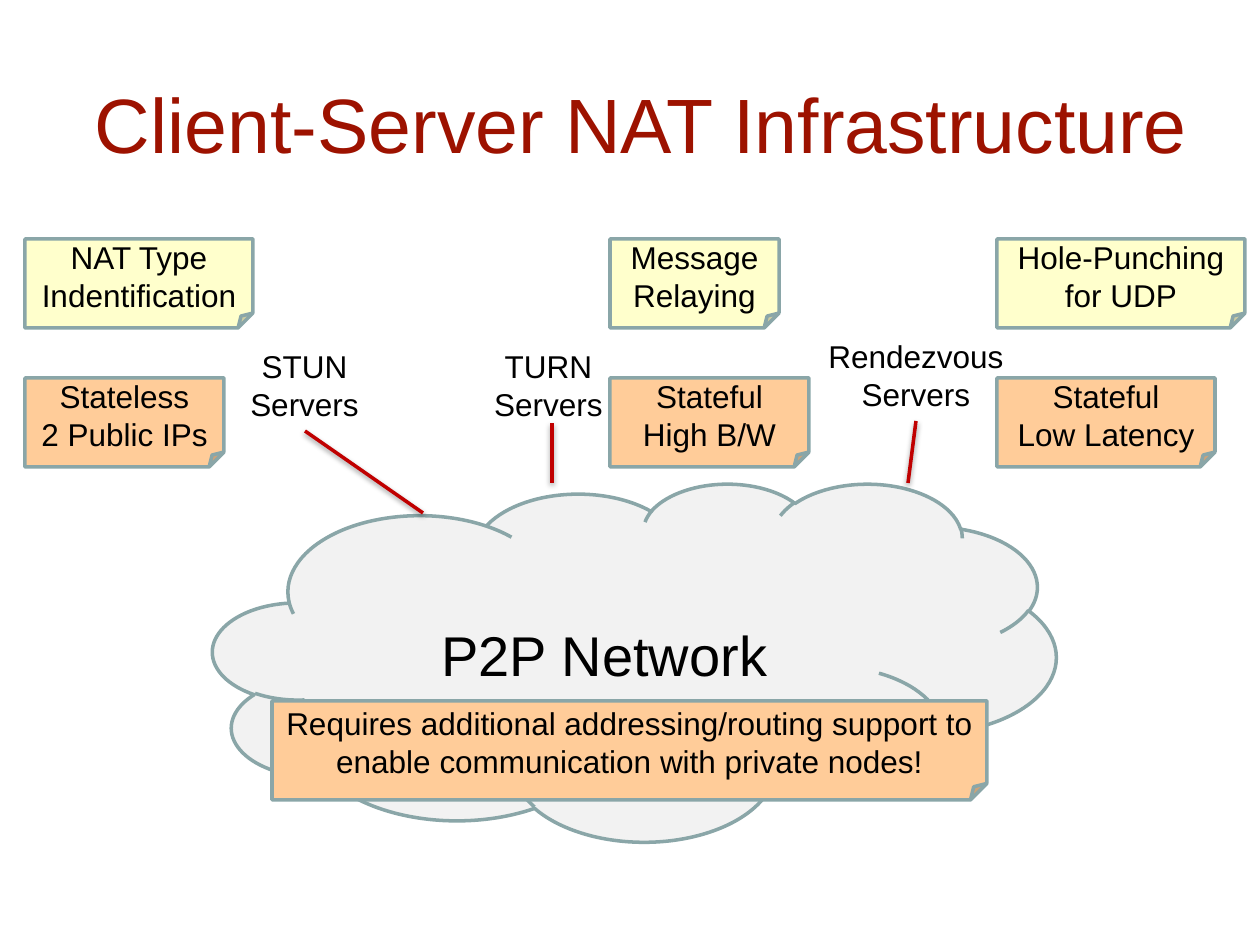
from lxml import etree
from pptx import Presentation
from pptx.dml.color import RGBColor
from pptx.enum.shapes import MSO_CONNECTOR, MSO_SHAPE
from pptx.enum.text import MSO_ANCHOR, PP_ALIGN
from pptx.oxml.ns import qn
from pptx.util import Pt

CLOUD, NOTE = MSO_SHAPE.CLOUD, MSO_SHAPE.FOLDED_CORNER
STRAIGHT = MSO_CONNECTOR.STRAIGHT
TOP, MIDDLE, BOTTOM = MSO_ANCHOR.TOP, MSO_ANCHOR.MIDDLE, MSO_ANCHOR.BOTTOM
LEFT, CENTER = PP_ALIGN.LEFT, PP_ALIGN.CENTER

BLACK = RGBColor(0x00, 0x00, 0x00)
MAROON = RGBColor(0x9D, 0x12, 0x00)
RED = RGBColor(0xC0, 0x00, 0x00)
GRAY = RGBColor(0xF2, 0xF2, 0xF2)
TEAL = RGBColor(0x8A, 0xA6, 0xA8)
YELLOW = RGBColor(0xFF, 0xFF, 0xCC)
ORANGE = RGBColor(0xFF, 0xCC, 0x99)


def emu(px):
    return round(px * 914400 / 126)


class Deck:
    font = "Arial"
    stroke = Pt(2)

    def __init__(self):
        self.prs = Presentation()
        self.prs.slide_width, self.prs.slide_height = emu(1260), emu(945)
        self.slide = self.prs.slides.add_slide(self.prs.slide_layouts[6])

    def text(self, frame, lines, size, color=BLACK, align=CENTER):
        for i, line in enumerate(lines):
            para = frame.paragraphs[0] if i == 0 else frame.add_paragraph()
            para.alignment = align
            run = para.add_run()
            run.text = line
            run.font.name = self.font
            run.font.size = Pt(size)
            run.font.color.rgb = color

    def box(self, *rect):
        return self.slide.shapes.add_textbox(*map(emu, rect)).text_frame

    def title(self, rect, text):
        frame = self.box(*rect)
        frame.word_wrap = True
        frame.vertical_anchor = BOTTOM
        frame.margin_left = frame.margin_right = 0
        frame.margin_top = frame.margin_bottom = 0
        self.text(frame, [text], 44, MAROON, LEFT)

    def label(self, rect, lines):
        frame = self.box(*rect)
        frame.word_wrap = False
        frame.vertical_anchor = TOP
        self.text(frame, lines, 18)

    def shape(self, kind, rect, fill, lines, size=18):
        shape = self.slide.shapes.add_shape(kind, *map(emu, rect))
        shape.shadow.inherit = False
        shape.fill.solid()
        shape.fill.fore_color.rgb = fill
        shape.line.color.rgb = TEAL
        shape.line.width = self.stroke
        frame = shape.text_frame
        frame.word_wrap = True
        frame.vertical_anchor = MIDDLE
        self.text(frame, lines, size)

    def line(self, *ends):
        """Draw a red line with a soft shadow below it."""
        line = self.slide.shapes.add_connector(STRAIGHT, *map(emu, ends))
        line.line.color.rgb = RED
        line.line.width = self.stroke
        props = line._element.spPr
        effect = etree.SubElement(props, qn("a:effectLst"))
        shadow = etree.SubElement(
            effect, qn("a:outerShdw"), blurRad=str(Pt(3.1)),
            dist=str(Pt(1.6)), dir="5400000", rotWithShape="0")
        color = etree.SubElement(shadow, qn("a:srgbClr"), val="000000")
        etree.SubElement(color, qn("a:alpha"), val="38000")


def main():
    deck = Deck()
    deck.title((95, 76, 1142, 93), "Client-Server NAT Infrastructure")

    servers = [("STUN", 237, 341, 135), ("TURN", 481, 341, 135),
               ("Rendezvous", 815, 331, 202)]
    for name, x, y, width in servers:
        deck.label((x, y, width, 89), [name, "Servers"])

    deck.shape(CLOUD, (213, 483, 843, 358), GRAY, ["P2P Network"], 32)
    for ends in [(305, 431, 423, 513), (552, 483, 552, 423),
                 (916, 421, 908, 483)]:
        deck.line(*ends)

    deck.shape(NOTE, (272, 701, 715, 99), ORANGE,
               ["Requires additional addressing/routing support to "
                "enable communication with private nodes!"])

    columns = [25, 610, 997]
    rows = [
        (239, YELLOW, [(228, ["NAT Type", "Indentification"]),
                       (169, ["Message", "Relaying"]),
                       (248, ["Hole-Punching", "for UDP"])]),
        (378, ORANGE, [(199, ["Stateless", "2 Public IPs"]),
                       (199, ["Stateful", "High B/W"]),
                       (218, ["Stateful", "Low Latency"])]),
    ]
    for y, fill, notes in rows:
        for x, (width, lines) in zip(columns, notes):
            deck.shape(NOTE, (x, y, width, 89), fill, lines)

    deck.prs.save("out.pptx")


if __name__ == "__main__":
    main()
